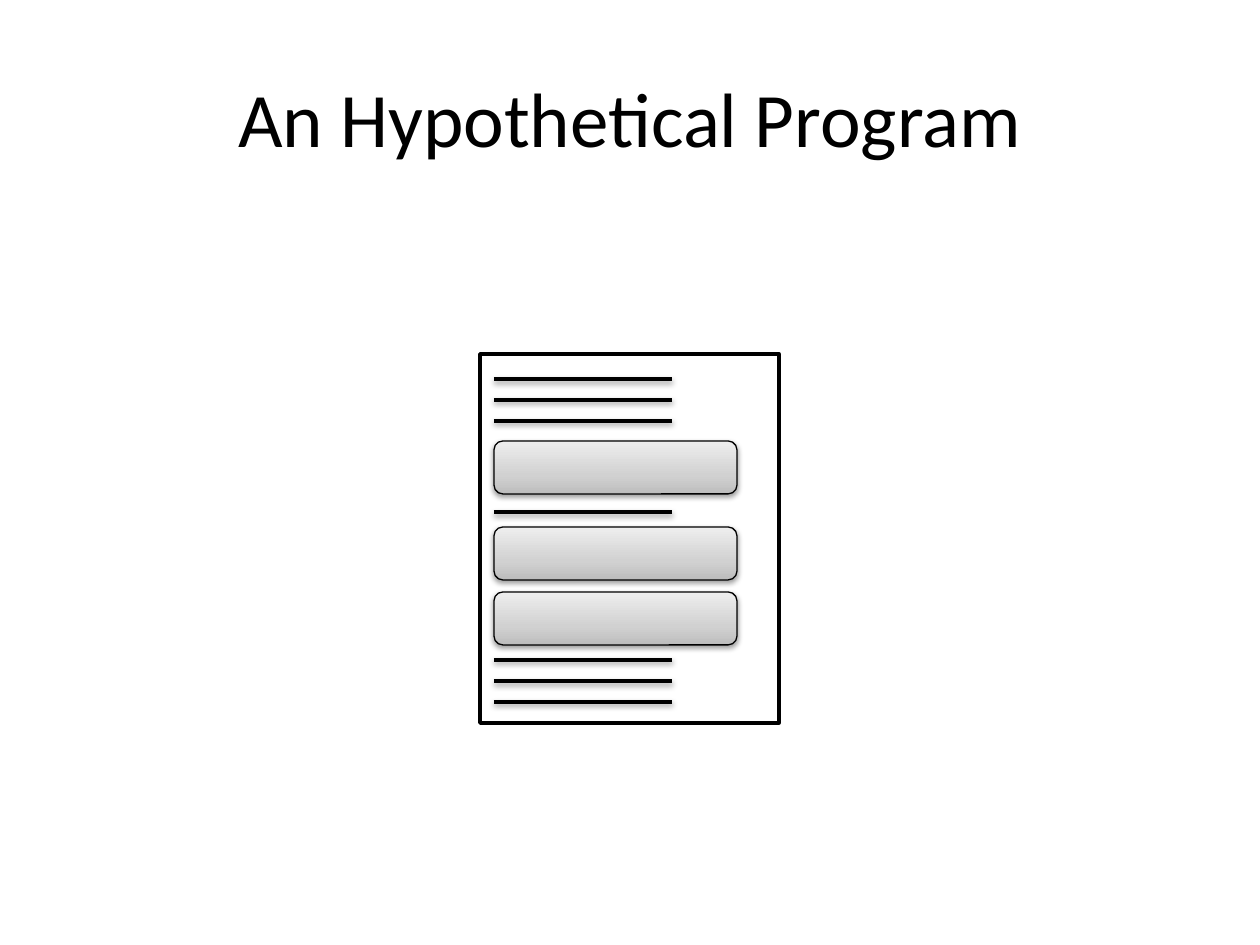
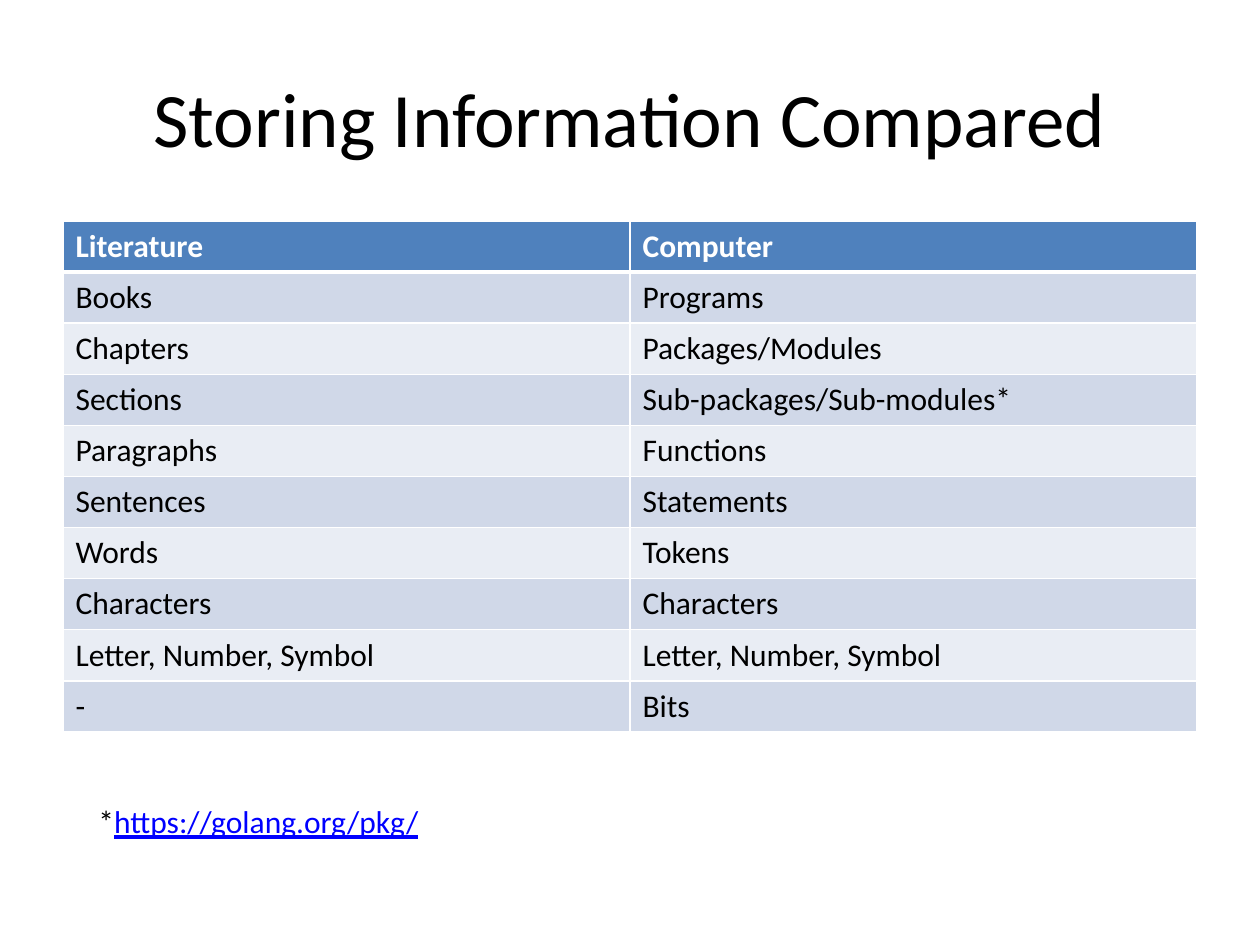
import copy

import lxml.etree
import pptx
import pptx.dml.color
import pptx.enum.shapes
import pptx.enum.text
import pptx.oxml.ns
import pptx.util

PIXELS_PER_INCH = 126
BLACK = pptx.dml.color.RGBColor(0x00, 0x00, 0x00)
WHITE = pptx.dml.color.RGBColor(0xFF, 0xFF, 0xFF)
LINK_BLUE = pptx.dml.color.RGBColor(0x00, 0x00, 0xFF)
HEADER_BLUE = pptx.dml.color.RGBColor(0x4F, 0x81, 0xBD)
BAND_DARK = pptx.dml.color.RGBColor(0xD0, 0xD8, 0xE8)
BAND_LIGHT = pptx.dml.color.RGBColor(0xE9, 0xED, 0xF4)
GRAY_STOPS = [
    (0, pptx.dml.color.RGBColor(0xBD, 0xBD, 0xBD)),
    (0.35, pptx.dml.color.RGBColor(0xD1, 0xD1, 0xD1)),
    (1, pptx.dml.color.RGBColor(0xEE, 0xEE, 0xEE)),
]
FONT = "Calibri"
qn = pptx.oxml.ns.qn


def px(*lengths):
    return [pptx.util.Inches(length / PIXELS_PER_INCH) for length in lengths]


def add_shadow(shape):
    effects = lxml.etree.SubElement(shape._element.spPr, qn("a:effectLst"))
    shadow = lxml.etree.SubElement(effects, qn("a:outerShdw"), blurRad="40000",
                                   dist="20000", dir="5400000", rotWithShape="0")
    color = lxml.etree.SubElement(shadow, qn("a:srgbClr"), val=str(BLACK))
    lxml.etree.SubElement(color, qn("a:alpha"), val="38000")


presentation = pptx.Presentation()
presentation.slide_width, presentation.slide_height = px(1260, 945)

# Slides and their titles
slides = []
for title_text in ["An Hypothetical Program", "Storing Information Compared"]:
    slide = presentation.slides.add_slide(presentation.slide_layouts[5])
    title = slide.shapes.title
    title.left, title.top, title.width, title.height = px(63, 38, 1134, 157)
    title.text_frame.text = title_text
    title.text_frame.vertical_anchor = pptx.enum.text.MSO_ANCHOR.MIDDLE
    paragraph = title.text_frame.paragraphs[0]
    paragraph.alignment = pptx.enum.text.PP_ALIGN.CENTER
    paragraph.font.name = FONT
    paragraph.font.size = pptx.util.Pt(44)
    paragraph.font.color.rgb = BLACK
    slides.append(slide)
program_slide, comparison_slide = slides

# Program page
page = program_slide.shapes.add_shape(
    pptx.enum.shapes.MSO_SHAPE.RECTANGLE, *px(480, 354, 299, 369))
page.fill.solid()
page.fill.fore_color.rgb = WHITE
page.line.color.rgb = BLACK
page.line.width = pptx.util.Pt(2)
page.shadow.inherit = False

# Statement lines, in runs of equal spacing
for first_y, count in [(379, 3), (512, 1), (660, 3)]:
    for index in range(count):
        y = first_y + 21 * index
        statement = program_slide.shapes.add_connector(
            pptx.enum.shapes.MSO_CONNECTOR.STRAIGHT, *px(494, y, 672, y))
        statement.line.color.rgb = BLACK
        statement.line.width = pptx.util.Pt(2)
        add_shadow(statement)

# Function blocks
for y in [441, 527, 592]:
    block = program_slide.shapes.add_shape(
        pptx.enum.shapes.MSO_SHAPE.ROUNDED_RECTANGLE, *px(494, y, 243, 53))
    block.fill.gradient()
    block.fill.gradient_angle = 90
    stop_list = block._element.spPr.find(qn("a:gradFill")).find(qn("a:gsLst"))
    stop_list.insert(1, copy.deepcopy(stop_list[0]))
    for stop, (position, color) in zip(block.fill.gradient_stops, GRAY_STOPS):
        stop.position = position
        stop.color.rgb = color
    block.line.color.rgb = BLACK
    block.line.width = pptx.util.Pt(0.75)
    add_shadow(block)

# Comparison table
rows = [
    ("Literature", "Computer"),
    ("Books", "Programs"),
    ("Chapters", "Packages/Modules"),
    ("Sections", "Sub-packages/Sub-modules*"),
    ("Paragraphs", "Functions"),
    ("Sentences", "Statements"),
    ("Words", "Tokens"),
    ("Characters", "Characters"),
    ("Letter, Number, Symbol", "Letter, Number, Symbol"),
    ("-", "Bits"),
]
table = comparison_slide.shapes.add_table(
    len(rows), 2, *px(63, 221, 1134, 51 * len(rows))).table
for row_index, row in enumerate(rows):
    is_header = row_index == 0
    band = BAND_DARK if row_index % 2 else BAND_LIGHT
    border_points = {"L": 1, "R": 1, "T": 3 if row_index == 1 else 1,
                     "B": 3 if is_header else 1}
    for column_index, text in enumerate(row):
        cell = table.cell(row_index, column_index)
        cell.text = text
        paragraph = cell.text_frame.paragraphs[0]
        paragraph.font.name = FONT
        paragraph.font.size = pptx.util.Pt(18)
        paragraph.font.bold = is_header
        paragraph.font.color.rgb = WHITE if is_header else BLACK
        properties = cell._tc.get_or_add_tcPr()
        for side, points in border_points.items():
            border = lxml.etree.SubElement(properties, qn("a:ln" + side),
                                           w=str(pptx.util.Pt(points)))
            border_fill = lxml.etree.SubElement(border, qn("a:solidFill"))
            lxml.etree.SubElement(border_fill, qn("a:srgbClr"), val=str(WHITE))
        cell.fill.solid()
        cell.fill.fore_color.rgb = HEADER_BLUE if is_header else band

# Footnote
footnote = comparison_slide.shapes.add_textbox(*px(86, 796, 349, 50))
footnote.text_frame.word_wrap = False
footnote.text_frame.auto_size = pptx.enum.text.MSO_AUTO_SIZE.SHAPE_TO_FIT_TEXT
paragraph = footnote.text_frame.paragraphs[0]
paragraph.font.name = FONT
paragraph.font.size = pptx.util.Pt(18)
for text, color, underlined in [("*", BLACK, False),
                                ("https://golang.org/pkg/", LINK_BLUE, True)]:
    run = paragraph.add_run()
    run.text = text
    run.font.color.rgb = color
    run.font.underline = underlined

presentation.save("out.pptx")
